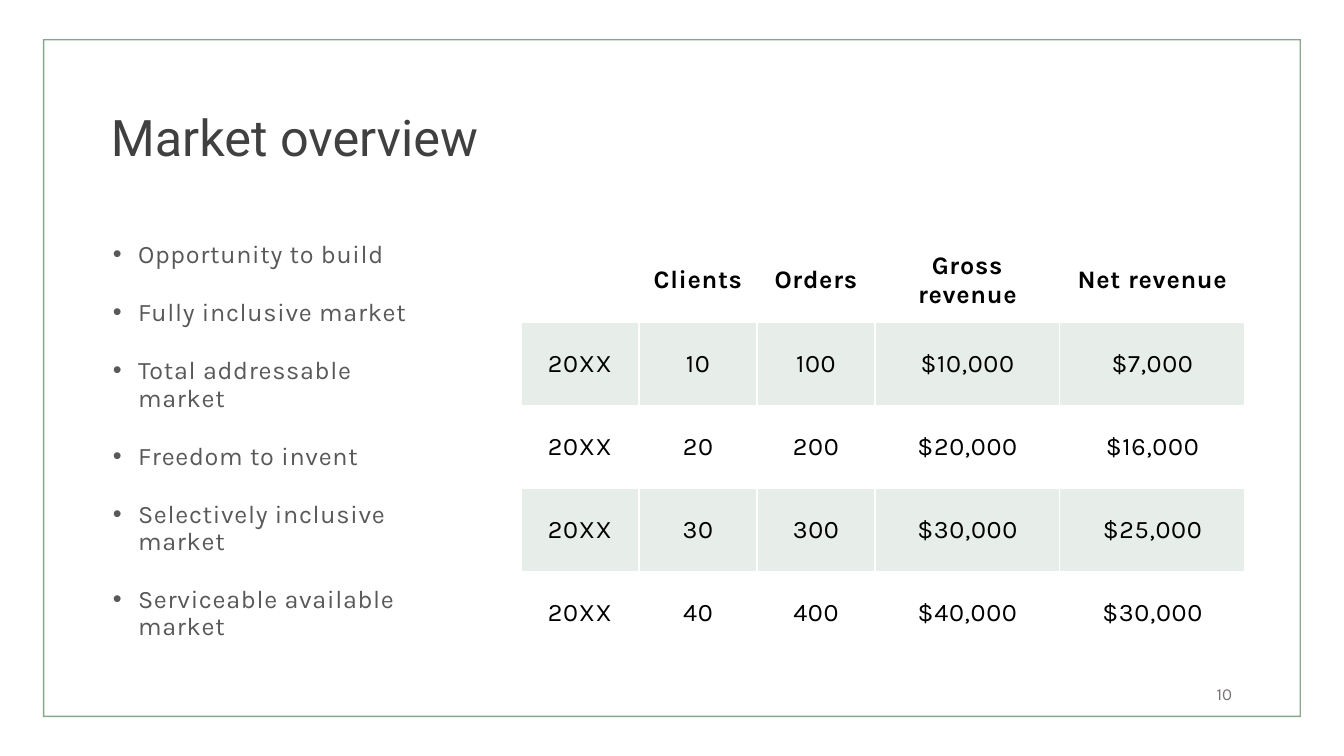
from lxml import etree
from pptx import Presentation
from pptx.dml import color
from pptx.enum import shapes, text
from pptx.oxml import ns
from pptx import util as u

TITLE = "Market overview"
POINTS = [
    "Opportunity to build",
    "Fully inclusive market",
    "Total addressable market",
    "Freedom to invent",
    "Selectively inclusive market",
    "Serviceable\u00a0available market",
]
ROWS = [
    ("", "Clients", "Orders", "Gross revenue", "Net revenue"),
    ("20XX", "10", "100", "$10,000", "$7,000"),
    ("20XX", "20", "200", "$20,000", "$16,000"),
    ("20XX", "30", "300", "$30,000", "$25,000"),
    ("20XX", "40", "400", "$40,000", "$30,000"),
]
PAGE_NUMBER = "10"

SAGE = "88A88E"
FRAME_AREA = (43, 39, 1258, 678)
TITLE_AREA = (101, 67, 1159, 146)
POINTS_AREA = (103, 237, 335, 418)
TABLE_AREA = (521, 239, 724, 416)
NUMBER_AREA = (940, 674, 302, 40)
COLUMN_WIDTHS = (118, 118, 118, 185, 185)


def px(length):
    return u.Emu(round(length * 914400 / 100.8))


def area(lengths):
    return [px(length) for length in lengths]


def rgb(value):
    return color.RGBColor.from_string(value)


def add_child(parent, tag, **attributes):
    return etree.SubElement(parent, ns.qn(tag), attributes)


def style(para, size, shade, font="Karla", bold=False, spacing=0):
    """Format every run; spacing is in hundredths of a point."""
    for span in para.runs:
        span.font.size = u.Pt(size)
        span.font.name = font
        span.font.bold = bold
        span.font.color.rgb = rgb(shade)
        if spacing:
            span.font._element.set("spc", str(spacing))


def add_text(page, place, lines, anchor):
    box = page.shapes.add_textbox(*area(place))
    frame = box.text_frame
    frame.word_wrap = True
    frame.vertical_anchor = anchor
    frame.text = "\n".join(lines)
    return frame.paragraphs


def add_bullet(para):
    properties = para._p.get_or_add_pPr()
    properties.set("marL", str(u.Inches(0.25)))
    properties.set("indent", str(-u.Inches(0.25)))
    add_child(properties, "a:buFont", typeface="Arial")
    add_child(properties, "a:buChar", char="•")


def add_border(page):
    border = page.shapes.add_shape(shapes.MSO_SHAPE.FRAME, *area(FRAME_AREA))
    border.adjustments[0] = 0.002
    border.shadow.inherit = False
    border.fill.solid()
    border.fill.fore_color.rgb = rgb(SAGE)
    border.line.fill.background()


def add_points(page):
    for para in add_text(page, POINTS_AREA, POINTS, text.MSO_ANCHOR.TOP):
        para.line_spacing = 0.9
        para.space_before = u.Pt(10)
        para.space_after = u.Pt(12)
        add_bullet(para)
        style(para, 18, "595959", spacing=50)


def add_market_table(page):
    table = page.shapes.add_table(len(ROWS), len(ROWS[0]), *area(TABLE_AREA)).table
    table.first_row = False
    table.horz_banding = False
    for column, width in zip(table.columns, COLUMN_WIDTHS):
        column.width = px(width)
    for row, values in enumerate(ROWS):
        for col, value in enumerate(values):
            cell = table.cell(row, col)
            cell.text = value
            cell.vertical_anchor = text.MSO_ANCHOR.MIDDLE
            para = cell.text_frame.paragraphs[0]
            para.alignment = text.PP_ALIGN.CENTER
            style(para, 18, "000000", bold=row == 0, spacing=50)
            if row % 2:
                cell.fill.solid()
                cell.fill.fore_color.rgb = rgb(SAGE)
                tint = cell._tc.tcPr.find(".//" + ns.qn("a:srgbClr"))
                add_child(tint, "a:alpha", val="20000")
            else:
                cell.fill.background()


def main():
    deck = Presentation()
    deck.slide_width, deck.slide_height = px(1344), px(756)
    page = deck.slides.add_slide(deck.slide_layouts[6])

    add_border(page)
    title = add_text(page, TITLE_AREA, [TITLE], text.MSO_ANCHOR.MIDDLE)[0]
    title.line_spacing = 0.9
    style(title, 36, "404040", font="Roboto")
    add_points(page)
    add_market_table(page)
    number = add_text(page, NUMBER_AREA, [PAGE_NUMBER], text.MSO_ANCHOR.MIDDLE)[0]
    number.alignment = text.PP_ALIGN.RIGHT
    style(number, 12, "767171")

    deck.save("out.pptx")


if __name__ == "__main__":
    main()
